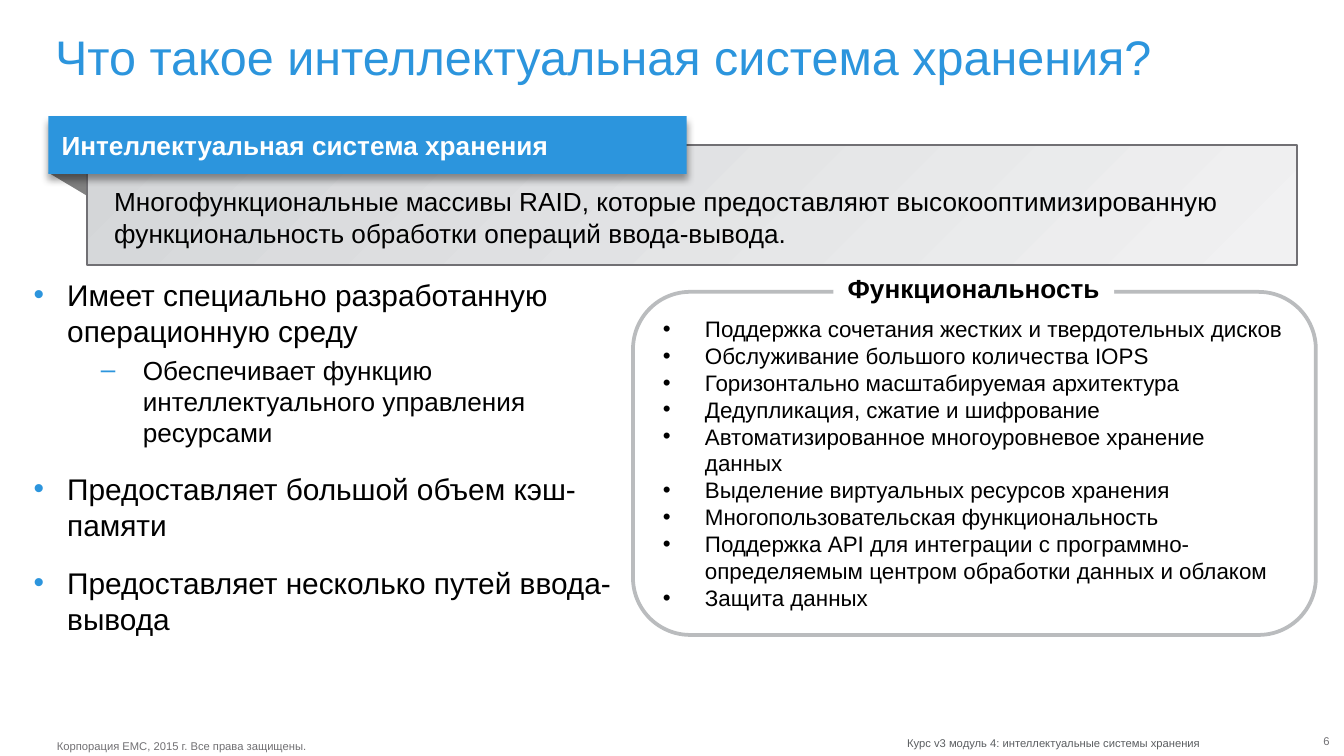
from lxml import etree
from pptx import Presentation
from pptx.dml.color import RGBColor
from pptx.enum.shapes import MSO_SHAPE
from pptx.enum.text import MSO_ANCHOR, PP_ALIGN
from pptx.oxml.ns import qn
from pptx.util import Pt

RECT, ROUNDED = MSO_SHAPE.RECTANGLE, MSO_SHAPE.ROUNDED_RECTANGLE
TOP, MIDDLE = MSO_ANCHOR.TOP, MSO_ANCHOR.MIDDLE
LEFT, CENTER, RIGHT = PP_ALIGN.LEFT, PP_ALIGN.CENTER, PP_ALIGN.RIGHT
FONT = "Arial"
BLUE, BLACK, WHITE, GRAY = "2C95DD", "000000", "FFFFFF", "717074"
DEFAULT_MARGINS = (7.2, 3.6, 7.2, 3.6)
NO_MARGINS = (0, 0, 0, 0)

# Text, level
PROPERTIES = [
    ("Имеет специально разработанную операционную среду", 0),
    ("Обеспечивает функцию интеллектуального управления ресурсами", 1),
    ("Предоставляет большой объем кэш-памяти", 0),
    ("Предоставляет несколько путей ввода-вывода", 0),
]
# Bullet, left indent, hanging indent, space before, text size
LEVELS = [("•", 18, 18, 12, 16), ("–", 58.5, 22.5, 3, 14)]
FEATURES = [
    "Поддержка сочетания жестких и твердотельных дисков",
    "Обслуживание большого количества IOPS",
    "Горизонтально масштабируемая архитектура",
    "Дедупликация, сжатие и шифрование",
    "Автоматизированное многоуровневое хранение данных",
    "Выделение виртуальных ресурсов хранения",
    "Многопользовательская функциональность",
    "Поддержка API для интеграции с программно-определяемым центром обработки данных и облаком",
    "Защита данных",
]


def rgb(value):
    return RGBColor.from_string(value)


def set_frame(frame, margins=DEFAULT_MARGINS, anchor=TOP, wrap=True):
    frame.margin_left, frame.margin_top, frame.margin_right, frame.margin_bottom = map(Pt, margins)
    frame.vertical_anchor = anchor
    frame.word_wrap = wrap


def format_paragraph(paragraph, size, color, bold=False, align=LEFT):
    paragraph.alignment = align
    for run in paragraph.runs:
        run.font.name = FONT
        run.font.size = Pt(size)
        run.font.bold = bold
        run.font.color.rgb = rgb(color)


def add_bullet(paragraph, char, color, left, hanging):
    properties = paragraph._p.get_or_add_pPr()
    properties.set("marL", str(Pt(left)))
    properties.set("indent", str(-Pt(hanging)))
    bullet_color = etree.SubElement(properties, qn("a:buClr"))
    etree.SubElement(bullet_color, qn("a:srgbClr"), val=color)
    etree.SubElement(properties, qn("a:buFont"), typeface=FONT)
    etree.SubElement(properties, qn("a:buChar"), char=char)


def add_label(slide, box, text, size, color, align=LEFT, wrap=False):
    label = slide.shapes.add_textbox(*map(Pt, box))
    frame = label.text_frame
    set_frame(frame, NO_MARGINS, wrap=wrap)
    frame.text = text
    format_paragraph(frame.paragraphs[0], size, color, align=align)


def style_shape(shape, fill, line=None, line_width=1):
    shape.shadow.inherit = False
    shape.fill.solid()
    shape.fill.fore_color.rgb = rgb(fill)
    if line:
        shape.line.color.rgb = rgb(line)
        shape.line.width = Pt(line_width)
    else:
        shape.line.fill.background()


def add_panel(slide, kind, box, fill, line=None, line_width=1):
    panel = slide.shapes.add_shape(kind, *map(Pt, box))
    style_shape(panel, fill, line, line_width)
    return panel


def add_drop_shadow(shape):
    effects = shape._element.spPr.find(qn("a:effectLst"))
    shadow = etree.SubElement(
        effects, qn("a:outerShdw"), blurRad=str(Pt(4)), dist=str(Pt(3)),
        dir="5400000", algn="t", rotWithShape="0")
    color = etree.SubElement(shadow, qn("a:srgbClr"), val=BLACK)
    etree.SubElement(color, qn("a:alpha"), val="40000")


def add_title(slide):
    title = slide.shapes.title
    title.left, title.top, title.width, title.height = map(Pt, (29.5, 18, 666, 36))
    set_frame(title.text_frame, NO_MARGINS)
    title.text_frame.text = "Что такое интеллектуальная система хранения?"
    paragraph = title.text_frame.paragraphs[0]
    paragraph.line_spacing = 0.9
    format_paragraph(paragraph, 26, BLUE)


def add_definition(slide):
    # Ribbon fold behind the definition
    builder = slide.shapes.build_freeform(Pt(25.9), Pt(92.5))
    builder.add_line_segments([(Pt(46.8), Pt(92.5)), (Pt(46.8), Pt(105))])
    style_shape(builder.convert_to_shape(), "808080")

    # Definition text on a gradient
    definition = add_panel(slide, RECT, (46.8, 77.8, 648, 64), WHITE, GRAY)
    definition.fill.gradient()
    definition.fill.gradient_angle = 315
    for stop, color in zip(definition.fill.gradient_stops, ("D4D6D8", "F1F1F2")):
        stop.color.rgb = rgb(color)
    frame = definition.text_frame
    set_frame(frame, (14.4, 21.6, 14.4, 3.6))
    frame.text = ("Многофункциональные массивы RAID, которые предоставляют "
                  "высокооптимизированную функциональность обработки операций ввода-вывода.")
    format_paragraph(frame.paragraphs[0], 14, BLACK)

    # Term ribbon
    term = add_panel(slide, RECT, (25.9, 62.2, 342, 31), BLUE)
    add_drop_shadow(term)
    set_frame(term.text_frame, anchor=MIDDLE)
    term.text_frame.text = "Интеллектуальная система хранения"
    format_paragraph(term.text_frame.paragraphs[0], 14, WHITE, bold=True)


def add_properties(slide):
    properties = slide.shapes.add_textbox(*map(Pt, (18, 148.3, 311, 199.4)))
    frame = properties.text_frame
    set_frame(frame, NO_MARGINS)
    frame.text = "\n".join(text for text, _ in PROPERTIES)
    for index, (paragraph, (_, level)) in enumerate(zip(frame.paragraphs, PROPERTIES)):
        char, left, hanging, space, size = LEVELS[level]
        paragraph.level = level
        add_bullet(paragraph, char, BLUE, left, hanging)
        paragraph.space_before = Pt(space if index else 0)
        format_paragraph(paragraph, size, BLACK)


def add_features(slide):
    features = add_panel(slide, ROUNDED, (339.1, 156.4, 365.8, 183.8), WHITE, "BABCBE", 2)
    frame = features.text_frame
    set_frame(frame)
    frame.text = "\n".join(FEATURES)
    for paragraph in frame.paragraphs:
        add_bullet(paragraph, "•", BLACK, 22.5, 22.5)
        format_paragraph(paragraph, 12, BLACK)

    # Heading that interrupts the frame
    heading = add_panel(slide, RECT, (446.4, 142.6, 150.5, 24.2), WHITE)
    set_frame(heading.text_frame, wrap=False)
    heading.text_frame.text = "Функциональность"
    format_paragraph(heading.text_frame.paragraphs[0], 14, BLACK, bold=True, align=CENTER)


def add_footer(slide):
    add_label(slide, (30.5, 396, 136, 7.2),
              "Корпорация EMC, 2015\u00a0г. Все права защищены.", 6, "717073")
    add_label(slide, (486, 394.6, 157, 7.2),
              "Курс v3 модуль 4: интеллектуальные системы хранения", 6, "5B5E61")
    add_label(slide, (690, 393.4, 22.3, 7.2), "6", 6, GRAY, align=RIGHT, wrap=True)


def main():
    presentation = Presentation()
    presentation.slide_width, presentation.slide_height = Pt(720), Pt(405)
    slide = presentation.slides.add_slide(presentation.slide_layouts[5])
    add_title(slide)
    add_properties(slide)
    add_definition(slide)
    add_features(slide)
    add_footer(slide)
    presentation.save("out.pptx")


if __name__ == "__main__":
    main()
